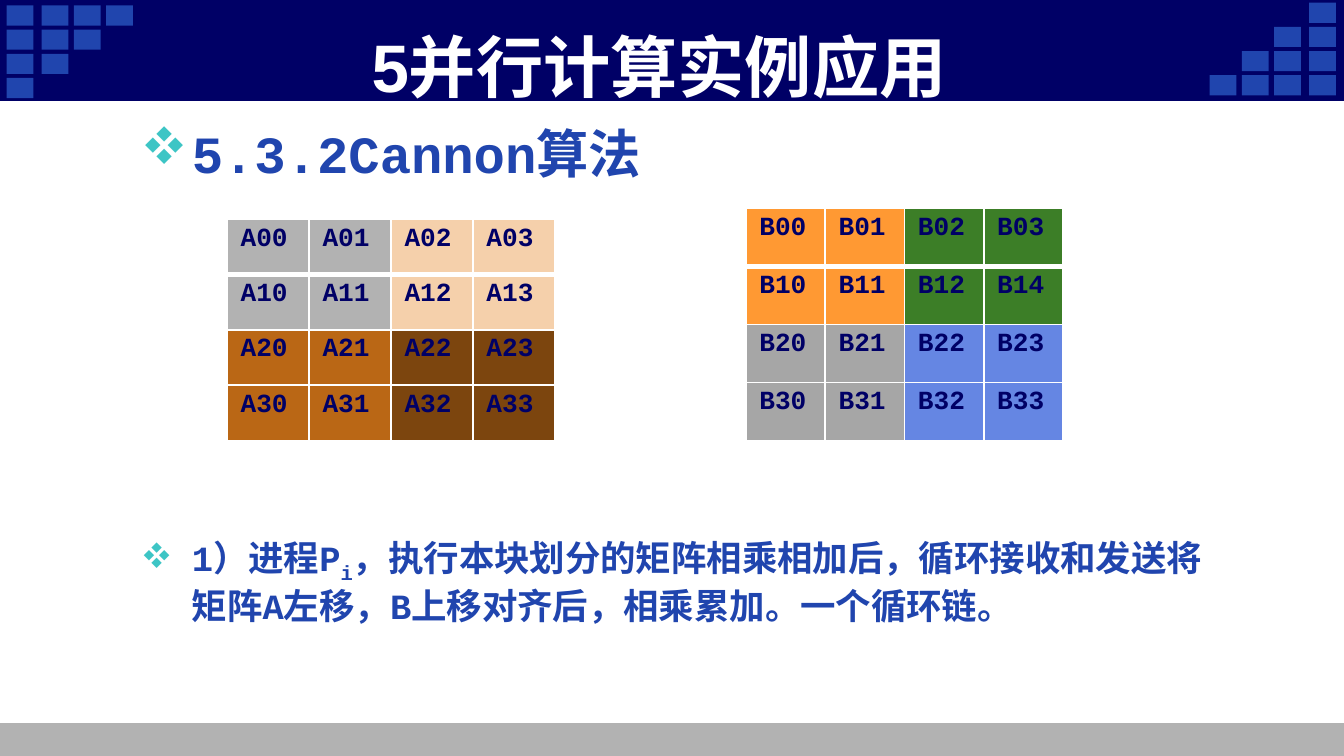
from lxml import etree
from pptx import Presentation
from pptx.dml.color import RGBColor
from pptx.enum.shapes import MSO_SHAPE
from pptx.enum.text import MSO_ANCHOR, PP_ALIGN
from pptx.oxml import parse_xml
from pptx.oxml.ns import nsdecls, qn
from pptx.util import Inches, Pt

THEME = {
    "navy": "000066", "blue": "2045AE", "gray": "B2B2B2", "white": "FFFFFF",
    "bullet": "3DC5C5", "title_size": 36, "heading_size": 28,
    "body_size": 19, "cell_size": 14,
    "title_font": "Arial", "body_font": "Courier New",
}

# 16:9 slide
prs = Presentation()
prs.slide_width, prs.slide_height = Inches(10), Inches(10 * 9 / 16)
s = prs.slides.add_slide(prs.slide_layouts[6])


def add_rect(x, y, w, h, color):
    sp = s.shapes.add_shape(MSO_SHAPE.RECTANGLE, Inches(x), Inches(y), Inches(w), Inches(h))
    sp.shadow.inherit = False
    sp.fill.solid()
    sp.fill.fore_color.rgb = RGBColor.from_string(color)
    sp.line.fill.background()
    return sp


def style(p, size, color, font):
    p.font.size, p.font.name, p.font.bold = Pt(size), font, True
    p.font.color.rgb = RGBColor.from_string(color)


# Header and footer bands
add_rect(0, 5.38, 10, 0.25, THEME["gray"])
header = add_rect(0, 0, 10, 0.75, THEME["navy"])
header.line.color.rgb = RGBColor.from_string(THEME["navy"])
header.line.width = Pt(0.75)

# Corner staircases: the right one is the left one turned by 180 degrees
SQ_W, SQ_H = 0.2, 0.15
for row in range(4):
    y = 0.04 + 0.18 * row
    for x in (0.05, 0.31, 0.55, 0.79)[:4 - row]:
        add_rect(x, y, SQ_W, SQ_H, THEME["blue"])
        add_rect(9.99 - SQ_W - x, 0.75 - SQ_H - y, SQ_W, SQ_H, THEME["blue"])

# Title
title = s.shapes.add_textbox(Inches(0.92), Inches(0.26), Inches(8.08), Inches(0.46))
tf = title.text_frame
tf.word_wrap, tf.vertical_anchor = True, MSO_ANCHOR.MIDDLE
p = tf.paragraphs[0]
p.text, p.alignment = "5并行计算实例应用 ", PP_ALIGN.CENTER
style(p, THEME["title_size"], THEME["white"], THEME["title_font"])

# Bulleted heading and step: runs are (text, baseline shift)
bullets = [
    (0.85, 0.6, THEME["heading_size"], [("5.3.2Cannon算法", 0)]),
    (3.94, 0.9, THEME["body_size"], [
        ("1）进程P", 0), ("i", -25000),
        ("，执行本块划分的矩阵相乘相加后，循环接收和发送将矩阵A左移，"
         "B上移对齐后，相乘累加。一个循环链。", 0)]),
]
for top, height, size, runs in bullets:
    box = s.shapes.add_textbox(Inches(0.95), Inches(top), Inches(8.1), Inches(height))
    tf = box.text_frame
    tf.word_wrap = True
    p = tf.paragraphs[0]
    style(p, size, THEME["blue"], THEME["body_font"])
    for text, shift in runs:
        r = p.add_run()
        r.text = text
        if shift:
            r.font._element.set("baseline", str(shift))
    pPr = p._p.get_or_add_pPr()
    pPr.set("marL", str(Inches(0.38)))
    pPr.set("indent", str(-Inches(0.38)))
    # Wingdings "v" is the four-diamond mark
    for xml in (f'<a:buClr {nsdecls("a")}><a:srgbClr val="{THEME["bullet"]}"/></a:buClr>',
                f'<a:buFont {nsdecls("a")} typeface="Wingdings" charset="2"/>',
                f'<a:buChar {nsdecls("a")} char="v"/>'):
        pPr.insert_element_before(parse_xml(xml), "a:defRPr")

# Matrices split in 2 x 2 blocks, one fill per block
matrices = [
    ("A", 1.69, 1.63, 2.44, 1.65, [["B2B2B2", "F5D0AB"], ["BA6715", "7C450E"]], {}),
    ("B", 5.55, 1.55, 2.36, 1.73, [["FF9933", "3C7E27"], ["A6A6A6", "6586E3"]], {(1, 3): "B14"}),
]
for name, x, y, w, h, fills, labels in matrices:
    frame = s.shapes.add_table(4, 4, Inches(x), Inches(y), Inches(w), Inches(h))
    table = frame.table
    table.first_row = table.horz_banding = False
    for row in range(4):
        for col in range(4):
            cell = table.cell(row, col)
            cell.margin_top = cell.margin_bottom = Inches(0.04)
            cell.fill.solid()
            cell.fill.fore_color.rgb = RGBColor.from_string(fills[row // 2][col // 2])
            p = cell.text_frame.paragraphs[0]
            p.text = labels.get((row, col), f"{name}{row}{col}")
            style(p, THEME["cell_size"], THEME["navy"], THEME["body_font"])
            # White borders, thicker below the first row
            thick = {0: "lnB", 1: "lnT"}.get(row)
            tcPr = cell._tc.get_or_add_tcPr()
            for i, side in enumerate(("lnL", "lnR", "lnT", "lnB")):
                ln = etree.Element(qn(f"a:{side}"), w=str(Pt(3 if side == thick else 1)))
                fill = etree.SubElement(ln, qn("a:solidFill"))
                etree.SubElement(fill, qn("a:srgbClr"), val=THEME["white"])
                tcPr.insert(i, ln)

prs.save("out.pptx")
